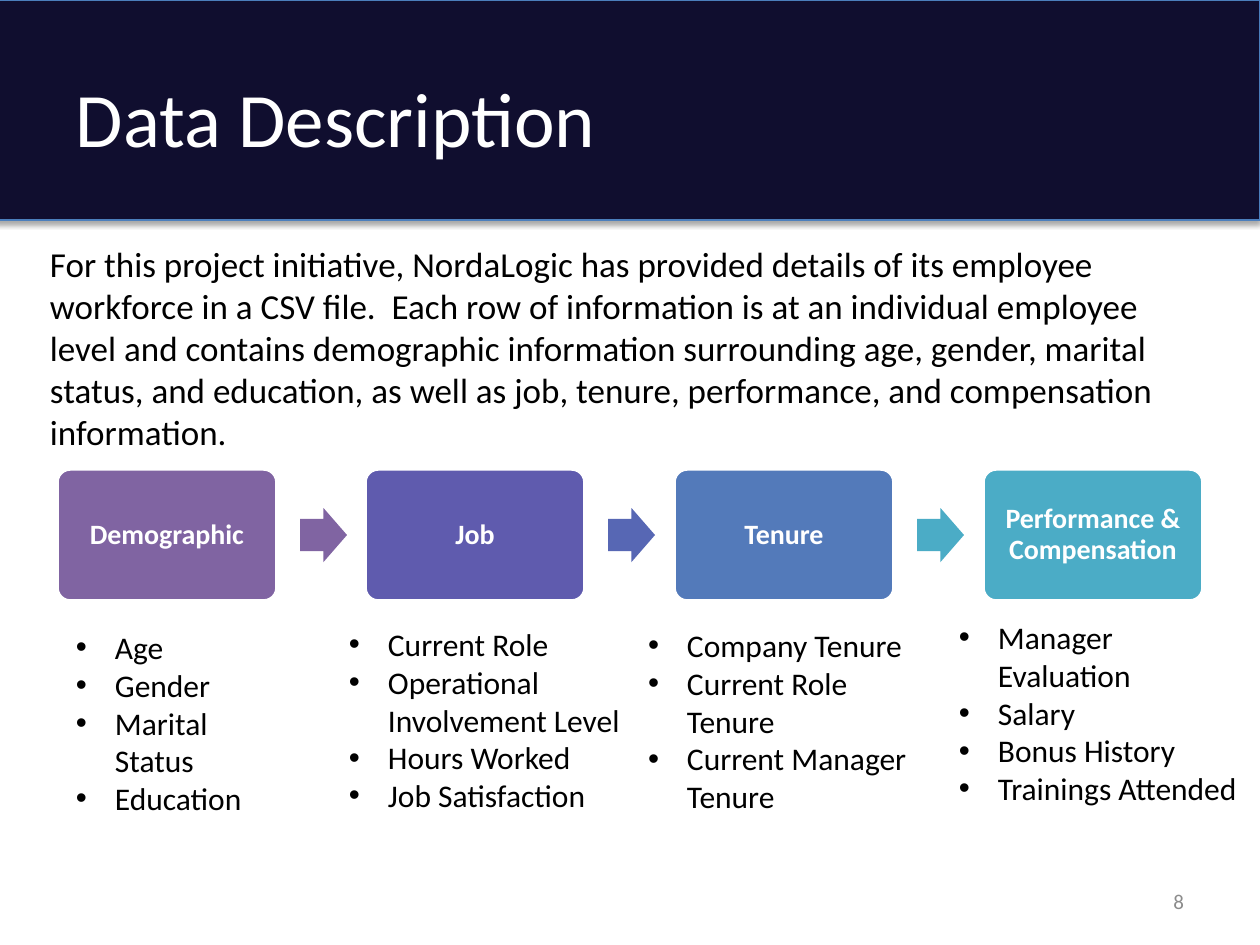
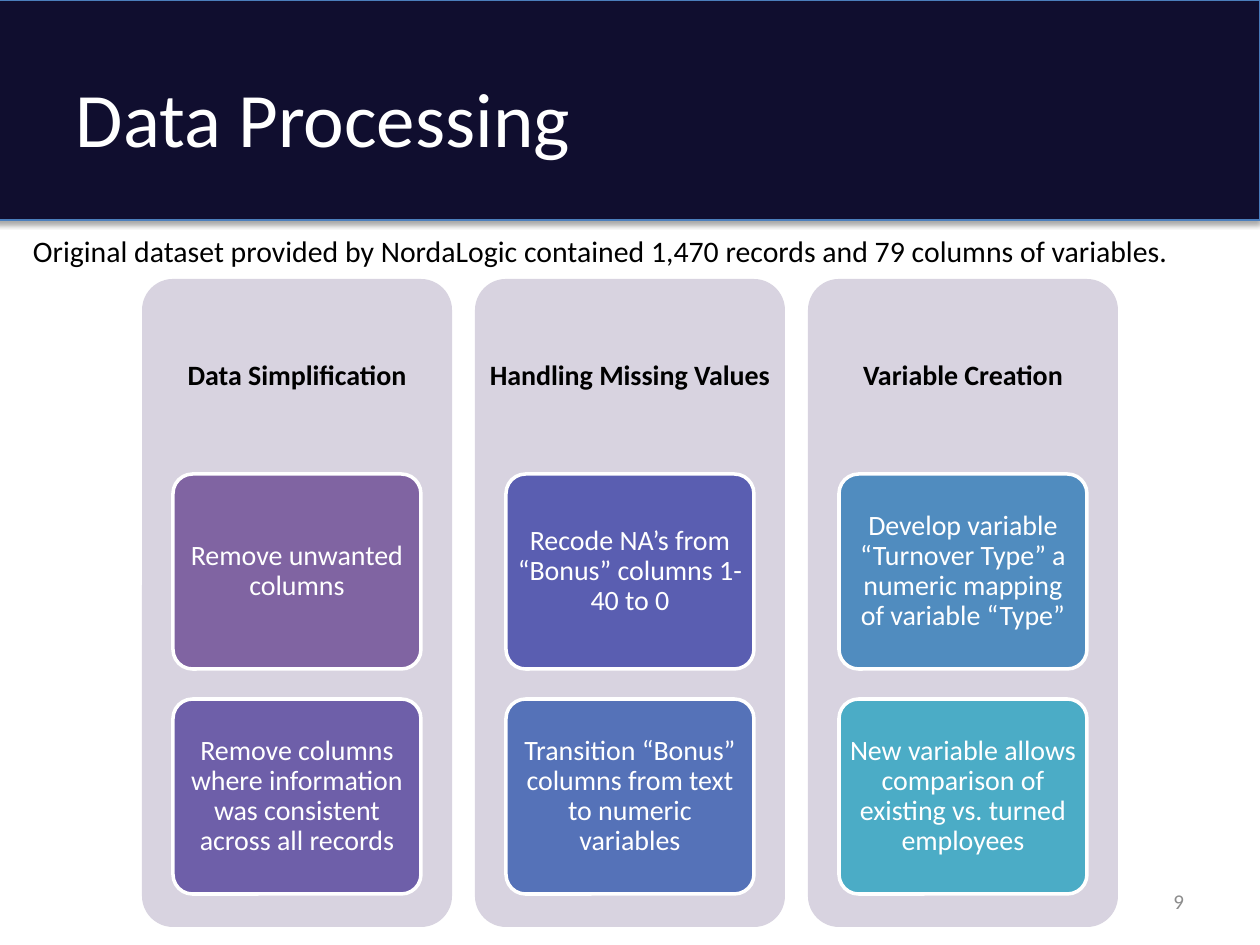
from lxml.etree import SubElement
from pptx import Presentation
from pptx.dml.color import RGBColor
from pptx.enum.shapes import MSO_SHAPE
from pptx.enum.text import MSO_ANCHOR, PP_ALIGN
from pptx.oxml.ns import qn
from pptx.util import Emu, Pt

EMU_PER_PX = 914400 / 126
FONT = "Calibri"
BLACK, WHITE, GREY = "000000", "FFFFFF", "8C8C8C"
NAVY, BAND_EDGE, COLUMN_FILL = "100E2F", "4B7EBC", "D8D3E0"
INSETS = (13, 6)

INTRO = (
    "For this project initiative, NordaLogic has provided details of its employee "
    "workforce in a CSV file.  Each row of information is at an individual employee "
    "level and contains demographic information surrounding age, gender, marital "
    "status, and education, as well as job, tenure, performance, and compensation "
    "information."
)
CATEGORIES = [
    ("Demographic", "8064A2", "8064A2", (63, 622, 226, 204),
     ["Age", "Gender", "Marital Status", "Education"]),
    ("Job", "5F5BAE", "5767B4", (336, 619, 320, 204),
     ["Current Role", "Operational Involvement Level", "Hours Worked", "Job Satisfaction"]),
    ("Tenure", "537ABA", "4BACC6", (635, 620, 320, 204),
     ["Company Tenure", "Current Role Tenure", "Current Manager Tenure"]),
    ("Performance & Compensation", "4BACC6", None, (946, 612, 305, 204),
     ["Manager Evaluation", "Salary", "Bonus History", "Trainings Attended"]),
]
DATASET_NOTE = (
    "Original dataset provided by NordaLogic contained 1,470 records "
    "and 79 columns of variables."
)
PROCESSES = [
    ("Data Simplification", [
        ("Remove unwanted columns", "8064A2"),
        ("Remove columns where information was consistent across all records", "6E5FA9"),
    ]),
    ("Handling Missing Values", [
        ("Recode NA’s from “Bonus” columns 1-40 to 0", "5A5EB1"),
        ("Transition “Bonus” columns from text to numeric variables", "5572B8"),
    ]),
    ("Variable Creation", [
        ("Develop variable “Turnover Type” a numeric mapping of variable “Type”", "508CBF"),
        ("New variable allows comparison of existing vs. turned employees", "4BACC6"),
    ]),
]


def px(length):
    return Emu(round(length * EMU_PER_PX))


def color(hex_string):
    return RGBColor.from_string(hex_string)


def apply_format(target, values):
    for name, value in values.items():
        setattr(target, name, value)


def write_text(shape, lines, size, font_color, bold=False, align=PP_ALIGN.LEFT,
               anchor=MSO_ANCHOR.TOP, insets=INSETS, spacing=1.0, bullets=False):
    frame = shape.text_frame
    horizontal, vertical = map(px, insets)
    apply_format(frame, {
        "word_wrap": True, "vertical_anchor": anchor,
        "margin_left": horizontal, "margin_right": horizontal,
        "margin_top": vertical, "margin_bottom": vertical,
    })
    for index, line in enumerate(lines):
        paragraph = frame.add_paragraph() if index else frame.paragraphs[0]
        apply_format(paragraph, {"alignment": align, "line_spacing": spacing})
        run = paragraph.add_run()
        run.text = line
        apply_format(run.font, {"name": FONT, "size": Pt(size), "bold": bold})
        run.font.color.rgb = color(font_color)
        if bullets:
            add_bullet(paragraph)


def add_bullet(paragraph):
    properties = paragraph._p.get_or_add_pPr()
    properties.set("marL", str(px(39)))
    properties.set("indent", str(px(-39)))
    SubElement(properties, qn("a:buFont")).set("typeface", "Arial")
    SubElement(properties, qn("a:buChar")).set("char", "•")


def add_text(slide, box, lines, size, font_color, **options):
    shape = slide.shapes.add_textbox(*map(px, box))
    write_text(shape, lines, size, font_color, **options)


def add_block(slide, kind, box, fill, adjustments=(), line=None, line_width=0):
    shape = slide.shapes.add_shape(kind, *map(px, box))
    shape.shadow.inherit = False
    shape.fill.solid()
    shape.fill.fore_color.rgb = color(fill)
    for index, value in enumerate(adjustments):
        shape.adjustments[index] = value
    if line:
        shape.line.color.rgb = color(line)
        shape.line.width = Pt(line_width)
    else:
        shape.line.fill.background()
    return shape


def add_card(slide, box, text, fill, insets, bold=False):
    card = add_block(slide, MSO_SHAPE.ROUNDED_RECTANGLE, box, fill, (0.1,), WHITE, 2)
    write_text(card, [text], 16, WHITE, bold=bold, align=PP_ALIGN.CENTER,
               anchor=MSO_ANCHOR.MIDDLE, insets=insets, spacing=0.9)


def add_band_shadow(band):
    effects = band._element.spPr.find(qn("a:effectLst"))
    shadow = SubElement(effects, qn("a:outerShdw"), {
        "blurRad": str(Pt(3.1)), "dist": str(Pt(1.8)), "dir": "5400000", "rotWithShape": "0",
    })
    shade = SubElement(shadow, qn("a:srgbClr"), {"val": BLACK})
    SubElement(shade, qn("a:alpha"), {"val": "35000"})


def add_base_slide(presentation, title, number):
    slide = presentation.slides.add_slide(presentation.slide_layouts[6])
    band = add_block(slide, MSO_SHAPE.RECTANGLE, (-5, 0, 1265, 220), NAVY,
                     line=BAND_EDGE, line_width=0.75)
    add_band_shadow(band)
    add_text(slide, (63, 38, 1134, 157), [title], 44, WHITE, anchor=MSO_ANCHOR.MIDDLE)
    add_text(slide, (903, 876, 294, 50), [str(number)], 12, GREY,
             align=PP_ALIGN.RIGHT, anchor=MSO_ANCHOR.MIDDLE)
    return slide


def add_category_flow(slide, box):
    left, top, width, height = box
    card_width = 220
    for index, (name, fill, arrow_fill, list_box, items) in enumerate(CATEGORIES):
        card_left = left + index * (width - card_width) // (len(CATEGORIES) - 1)
        add_card(slide, (card_left, top, card_width, height), name, fill, (9, 9), bold=True)
        if arrow_fill:
            add_block(slide, MSO_SHAPE.RIGHT_ARROW, (card_left + 243, top + 39, 47, 54),
                      arrow_fill, (0.6, 0.5))
        add_text(slide, list_box, items, 18, BLACK, bullets=True)


def add_process_column(slide, box, heading, steps):
    left, top, width, height = box
    add_block(slide, MSO_SHAPE.ROUNDED_RECTANGLE, box, COLUMN_FILL, (0.1,))
    add_text(slide, (left, top, width, 194), [heading], 16, BLACK, bold=True,
             align=PP_ALIGN.CENTER, anchor=MSO_ANCHOR.MIDDLE, insets=(9, 9), spacing=0.9)
    for index, (text, fill) in enumerate(steps):
        card_box = (left + 31, top + 195 + index * 225, width - 62, 195)
        add_card(slide, card_box, text, fill, (5, 4))


def add_description_slide(presentation):
    slide = add_base_slide(presentation, "Data Description", 8)
    add_text(slide, (37, 236, 1182, 233), [INTRO], 20, BLACK)
    add_category_flow(slide, (57, 469, 1146, 132))


def add_processing_slide(presentation):
    slide = add_base_slide(presentation, "Data Processing", 9)
    for index, (heading, steps) in enumerate(PROCESSES):
        add_process_column(slide, (142 + index * 333, 279, 310, 648), heading, steps)
    add_text(slide, (20, 227, 1177, 49), [DATASET_NOTE], 17, BLACK)


def main():
    presentation = Presentation()
    apply_format(presentation, {"slide_width": px(1260), "slide_height": px(945)})
    add_description_slide(presentation)
    add_processing_slide(presentation)
    presentation.save("out.pptx")


if __name__ == "__main__":
    main()
